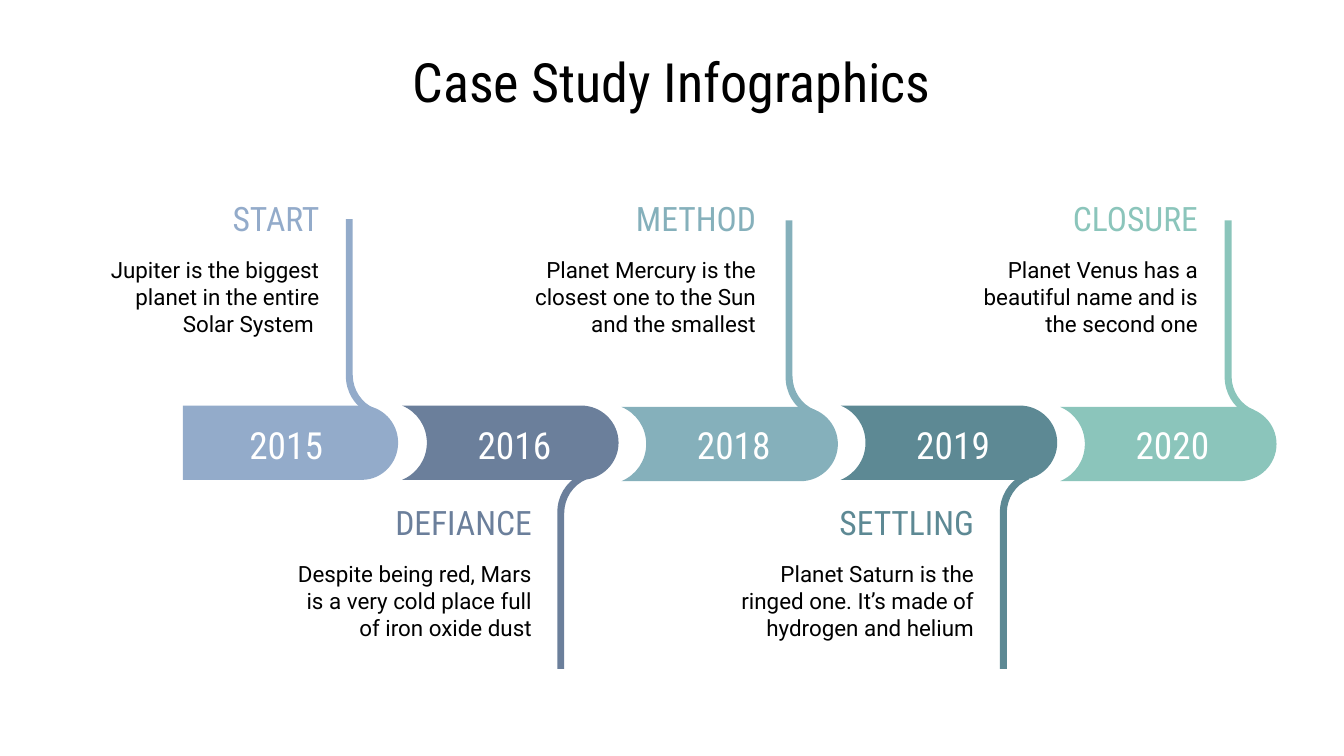
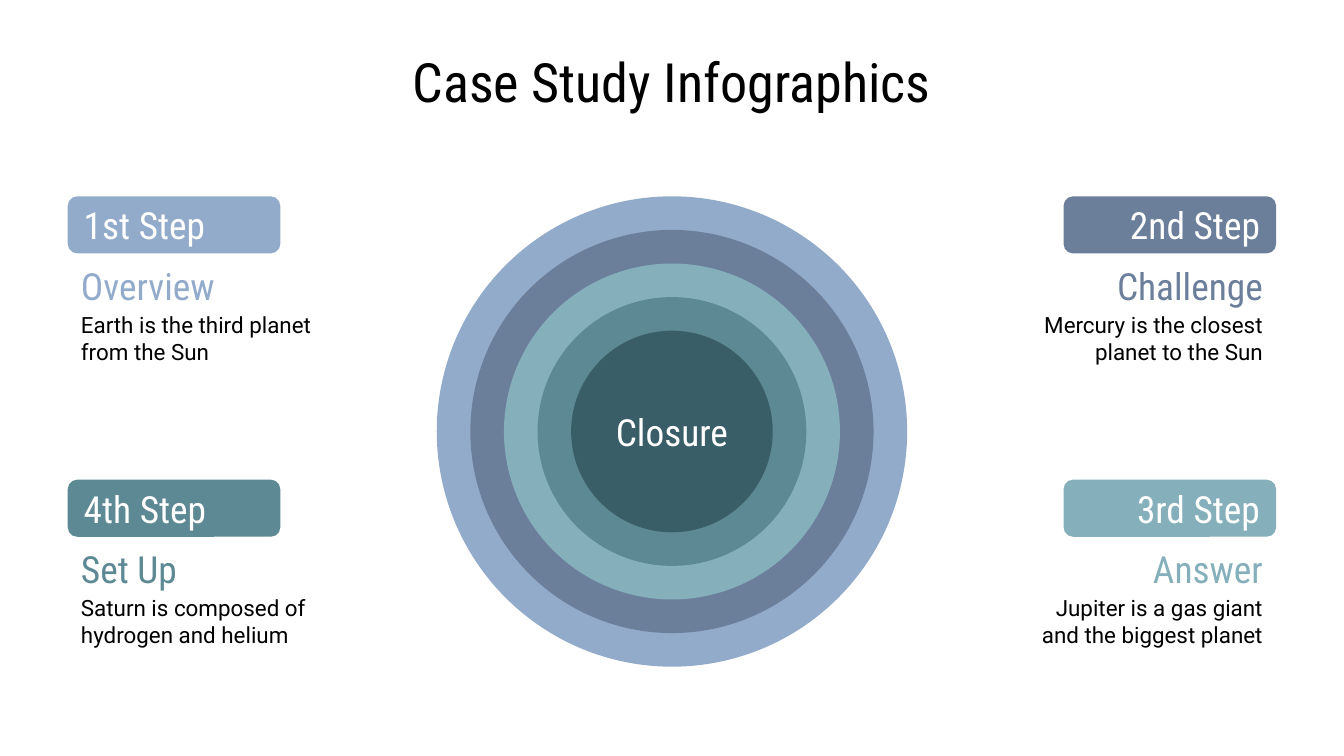
"""Builds two case study slides: a yearly timeline and a ring chart of steps."""
from lxml.etree import SubElement
from pptx import Presentation
from pptx.dml.color import RGBColor
from pptx.enum.shapes import MSO_SHAPE
from pptx.enum.text import MSO_ANCHOR, PP_ALIGN
from pptx.oxml.ns import qn
from pptx.util import Pt

TITLE = "Case Study Infographics"
HEAD, BODY = "Roboto Condensed", "Roboto"
BLACK, WHITE = "000000", "FFFFFF"
BLUE, SLATE, SKY, TEAL, MINT, DEEP = (
    "93ABCA", "6B7F9B", "85B0BB", "5D8994", "8BC5BB", "395E68")
LEFT, MID, RIGHT = PP_ALIGN.LEFT, PP_ALIGN.CENTER, PP_ALIGN.RIGHT
MARGIN, WIDE, HIGH = 36.3, 720, 405

# year, heading, text, colour, label left, stem left, vertical shift
YEARS = [
    ("2015", "START", "Jupiter is the biggest planet in the entire Solar System ",
     BLUE, 35.6, 185.3, 0),
    ("2016", "DEFIANCE", "Despite being red, Mars is a very cold place full of iron oxide dust",
     SLATE, 149.4, 298.6, 0),
    ("2018", "METHOD", "Planet Mercury is the closest one to the Sun and the smallest",
     SKY, 269.5, 420.9, 0.7),
    ("2019", "SETTLING", "Planet Saturn is the ringed one. It’s made of hydrogen and helium",
     TEAL, 386.3, 535.7, 0),
    ("2020", "CLOSURE", "Planet Venus has a beautiful name and is the second one",
     MINT, 506.2, 656.1, 0.7),
]

# step, heading, text, colour, column, row
STEPS = [
    ("1st Step", "Overview", "Earth is the third planet from the Sun", BLUE, 0, 0),
    ("2nd Step", "Challenge", "Mercury is the closest planet to the Sun", SLATE, 1, 0),
    ("3rd Step", "Answer", "Jupiter is a gas giant\nand the biggest planet", SKY, 1, 1),
    ("4th Step", "Set Up", "Saturn is composed of hydrogen and helium", TEAL, 0, 1),
]
RINGS = [BLUE, SLATE, SKY, TEAL, DEEP]


def hue(code):
    return RGBColor.from_string(code)


def paint(shape, color):
    shape.shadow.inherit = False
    shape.fill.solid()
    shape.fill.fore_color.rgb = hue(color)
    shape.line.fill.background()
    return shape


def write(shape, text, size, color, align, font=HEAD, anchor=MSO_ANCHOR.MIDDLE):
    frame = shape.text_frame
    frame.word_wrap = True
    frame.vertical_anchor = anchor
    frame.margin_left = frame.margin_right = Pt(7.2)
    frame.margin_top = frame.margin_bottom = Pt(7.2)
    para = frame.paragraphs[0]
    para.alignment = align
    for row, line in enumerate(text.split("\n")):
        if row:
            para.add_line_break()
        run = para.add_run()
        run.text = line
        run.font.size = Pt(size)
        run.font.name = font
        run.font.color.rgb = hue(color)


def label(slide, box, *args, **style):
    write(slide.shapes.add_textbox(*map(Pt, box)), *args, **style)


def block(slide, kind, box, color):
    return paint(slide.shapes.add_shape(kind, *map(Pt, box)), color)


def outline(slide, left, top, way, parts, color):
    """Draw parts of one point (a line) or three points (a curve)."""
    spots = [(Pt(left + x), Pt(top + way * y)) for part in parts for x, y in part]
    pen = slide.shapes.build_freeform(*spots[0], scale=1.0)
    pen.add_line_segments(spots[1:], close=True)
    shape = paint(pen.convert_to_shape(), color)
    lines = iter(list(shape._element.iter(qn("a:lnTo"))))
    for part in parts[1:]:
        group = [next(lines) for _ in part]
        if len(part) == 3:
            bend = SubElement(group[0].getparent(), qn("a:cubicBezTo"))
            group[0].addprevious(bend)
            for line in group:
                bend.append(line[0])
                line.getparent().remove(line)


def band(slide, left, top, color, notch):
    half, flat, cap = 19.9, 96, 20 if notch else 19.4
    full, near, end = 2 * half, 0.45 * half, flat + cap
    bow = flat + 0.55 * cap
    parts = [[(0, 0)], [(flat, 0)],
             [(bow, 0), (end, near), (end, half)],
             [(end, full - near), (bow, full), (flat, full)],
             [(0, full)]]
    if notch:
        parts += [[(8, full - 3.3), (13.3, full - 11), (13.3, half)],
                  [(13.3, 11), (8, 3.3), (0, 0)]]
    outline(slide, left, top, 1, parts, color)


def stem(slide, left, tip, way, color):
    parts = [[(0, 0)], [(0, 83.5)],
             [(-0.2, 92.2), (4.6, 100.1), (11.8, 103.7)],
             [(15.5, 103.7)], [(15.5, 101.5)],
             [(8.5, 98.6), (3.7, 91.4), (3.7, 83.5)],
             [(3.7, 0)]]
    outline(slide, left, tip, way, parts, color)


def start(deck):
    slide = deck.slides.add_slide(deck.slide_layouts[6])
    label(slide, (MARGIN, 32.4, WIDE - 2 * MARGIN, 21.6), TITLE, 29, BLACK, MID)
    return slide


def timeline(deck):
    slide = start(deck)
    for i, (year, head, text, color, left, post, shift) in enumerate(YEARS):
        edge = 97.9 + 117.5 * i
        down = i % 2
        band(slide, edge, 217.3 + shift, color, notch=i > 0)
        stem(slide, post, (358.4 if down else 117.4) + shift, -1 if down else 1, color)
        top = 267.8 if down else 105.1
        label(slide, (left, top, 142.6, 23.8), head, 18, color, RIGHT)
        label(slide, (left, top + 25.1, 142.6, 67.7), text, 12, BLACK, RIGHT,
              font=BODY, anchor=MSO_ANCHOR.TOP)
        label(slide, (edge + (4.8 if i else 0), 225.4, 110.9, 25.9),
              year, 20, WHITE, MID)


def circles(deck):
    slide = start(deck)
    for i, color in enumerate(RINGS):
        size = 252 - 36 * i
        box = ((WIDE - size) / 2, 231.2 - size / 2, size, size)
        ring = block(slide, MSO_SHAPE.OVAL, box, color)
    write(ring, "Closure", 20, WHITE, MID)
    for step, head, text, color, col, row in STEPS:
        top = 105.2 + 151.8 * row
        align = RIGHT if col else LEFT

        def place(drop, width, height):
            left = WIDE - MARGIN - width if col else MARGIN
            return left, top + drop, width, height

        label(slide, place(30.8, 160.5, 33.8), head, 20, color, align)
        label(slide, place(55, 160.5, 41.7), text, 12, BLACK, align, font=BODY)
        pill = block(slide, MSO_SHAPE.ROUNDED_RECTANGLE, place(0, 113.9, 30.6), color)
        write(pill, step, 20, WHITE, align)


def main():
    deck = Presentation()
    deck.slide_width, deck.slide_height = Pt(WIDE), Pt(HIGH)
    timeline(deck)
    circles(deck)
    deck.save("out.pptx")


if __name__ == "__main__":
    main()
